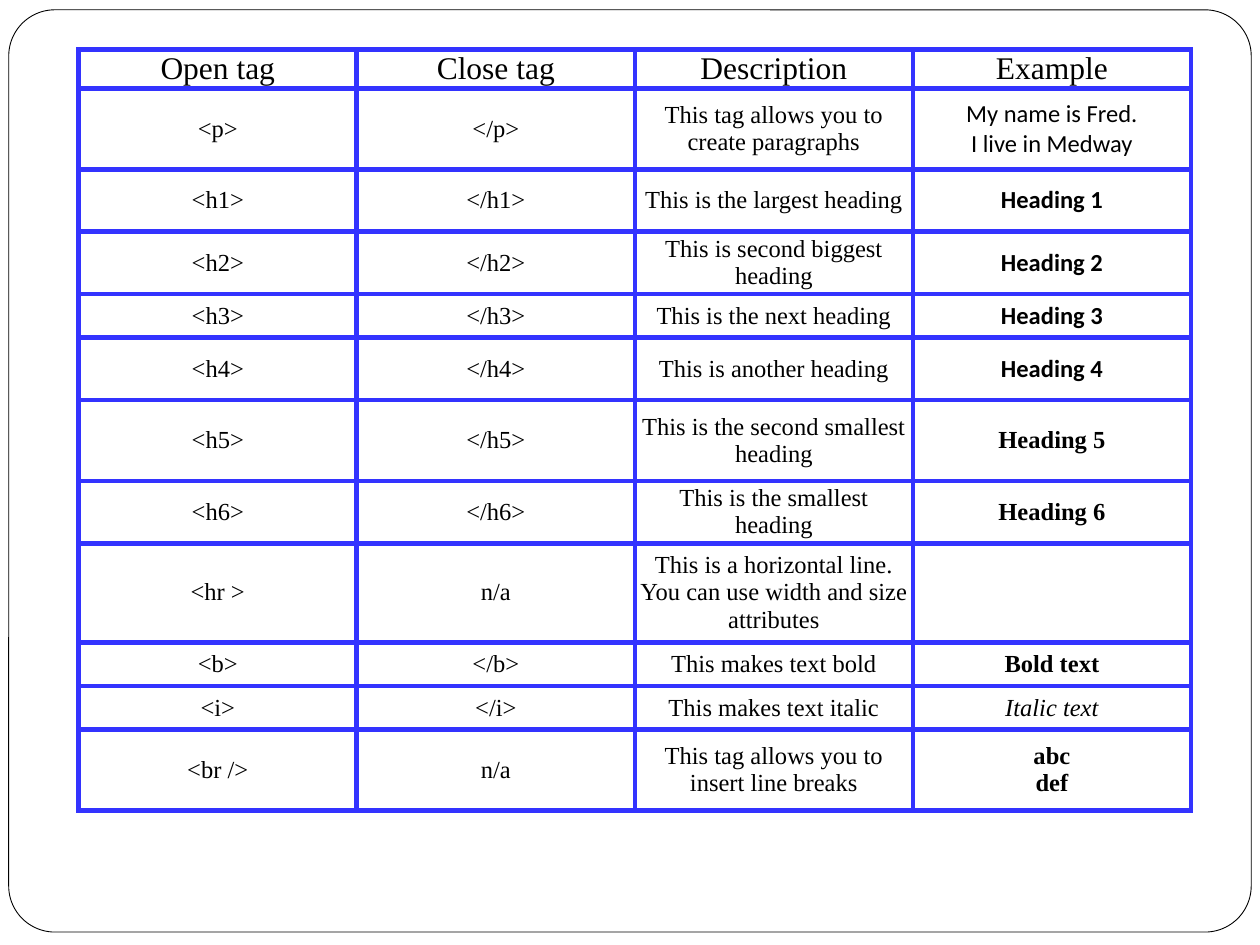
from copy import deepcopy
from pptx import Presentation
from pptx.dml.color import RGBColor
from pptx.enum.shapes import MSO_SHAPE as Shape
from pptx.enum.text import MSO_ANCHOR as Anchor, PP_ALIGN as Align
from pptx.oxml import parse_xml
from pptx.oxml.ns import nsdecls, qn
from pptx.util import Pt

WHITE = RGBColor(255, 255, 255)
BLACK = RGBColor(0, 0, 0)
BLUE = RGBColor(0x33, 0x33, 0xFF)
SERIF = "Times New Roman"
SANS = "Calibri"

HEAD = {"name": SERIF, "size": Pt(18)}
BODY = {"name": SERIF, "size": Pt(14)}
PLAIN = {"name": SANS}
BOLD = {"bold": True}
TITLE = PLAIN | BOLD
CELL = {
    "vertical_anchor": Anchor.MIDDLE,
    "margin_left": Pt(2.4),
    "margin_right": Pt(2.4),
    "margin_top": Pt(1.2),
    "margin_bottom": Pt(1.2),
}

SMALL, MID, TALL, LARGE = 25, 35.6, 46.3, 56.6
TAGS = [
    (15, "Open tag", "Close tag", "Description", "Example", {}),
    (TALL, "<p>", "</p>", "This tag allows you to create paragraphs",
     "My name is Fred.\vI live in Medway", PLAIN),
    (MID, "<h1>", "</h1>", "This is the largest heading", "Heading 1", TITLE),
    (MID, "<h2>", "</h2>", "This is second biggest heading", "Heading 2", TITLE),
    (SMALL, "<h3>", "</h3>", "This is the next heading", "Heading 3", TITLE),
    (MID, "<h4>", "</h4>", "This is another heading", "Heading 4", TITLE),
    (TALL, "<h5>", "</h5>", "This is the second smallest heading", "Heading 5", BOLD),
    (MID, "<h6>", "</h6>", "This is the smallest heading", "Heading 6", BOLD),
    (LARGE, "<hr >", "n/a",
     "This is a horizontal line. You can use width and size attributes", "", {}),
    (SMALL, "<b>", "</b>", "This makes text bold", "Bold text", BOLD),
    (SMALL, "<i>", "</i>", "This makes text italic", "Italic text", {"italic": True}),
    (TALL, "<br />", "n/a", "This tag allows you to insert line breaks",
     "abc\vdef", BOLD),
]


def apply(item, values):
    for key, value in values.items():
        setattr(item, key, value)


def add_frame(slide):
    frame = slide.shapes.add_shape(
        Shape.ROUNDED_RECTANGLE, Pt(5), Pt(5.6), Pt(710), Pt(527))
    frame.adjustments[0] = 0.05
    frame.shadow.inherit = False
    frame.fill.solid()
    frame.fill.fore_color.rgb = WHITE
    frame.line.color.rgb = BLACK
    frame.line.width = Pt(0.5)


def add_edges(cell):
    props = cell._tc.get_or_add_tcPr()
    for pos, side in enumerate("LRTB"):
        props.insert(pos, parse_xml(
            f'<a:ln{side} {nsdecls("a")} w="{Pt(3)}"><a:solidFill>'
            f'<a:srgbClr val="{BLUE}"/></a:solidFill></a:ln{side}>'))


def fill_cell(cell, text, font):
    apply(cell, CELL)
    cell.fill.solid()
    cell.fill.fore_color.rgb = WHITE
    add_edges(cell)
    para = cell.text_frame.paragraphs[0]
    para.text = text
    para.alignment = Align.CENTER
    for run in para.runs:
        apply(run.font, font)
        run.font.color.rgb = BLACK
    for gap in para._p.findall(qn("a:br")):
        gap.insert(0, deepcopy(para.runs[0]._r.rPr))


def add_tags(slide):
    high = sum(row[0] for row in TAGS)
    table = slide.shapes.add_table(
        len(TAGS), 4, Pt(45), Pt(28.2), Pt(635.6), Pt(high)).table
    apply(table, {"first_row": False, "horz_banding": False})
    for r, (size, *texts, style) in enumerate(TAGS):
        table.rows[r].height = Pt(size)
        base = BODY if r else HEAD
        for c, text in enumerate(texts):
            font = base | style if c == 3 else base
            fill_cell(table.cell(r, c), text, font)


def main():
    deck = Presentation()
    apply(deck, {"slide_width": Pt(720), "slide_height": Pt(540)})
    slide = deck.slides.add_slide(deck.slide_layouts[6])
    add_frame(slide)
    add_tags(slide)
    deck.save("out.pptx")


if __name__ == "__main__":
    main()
